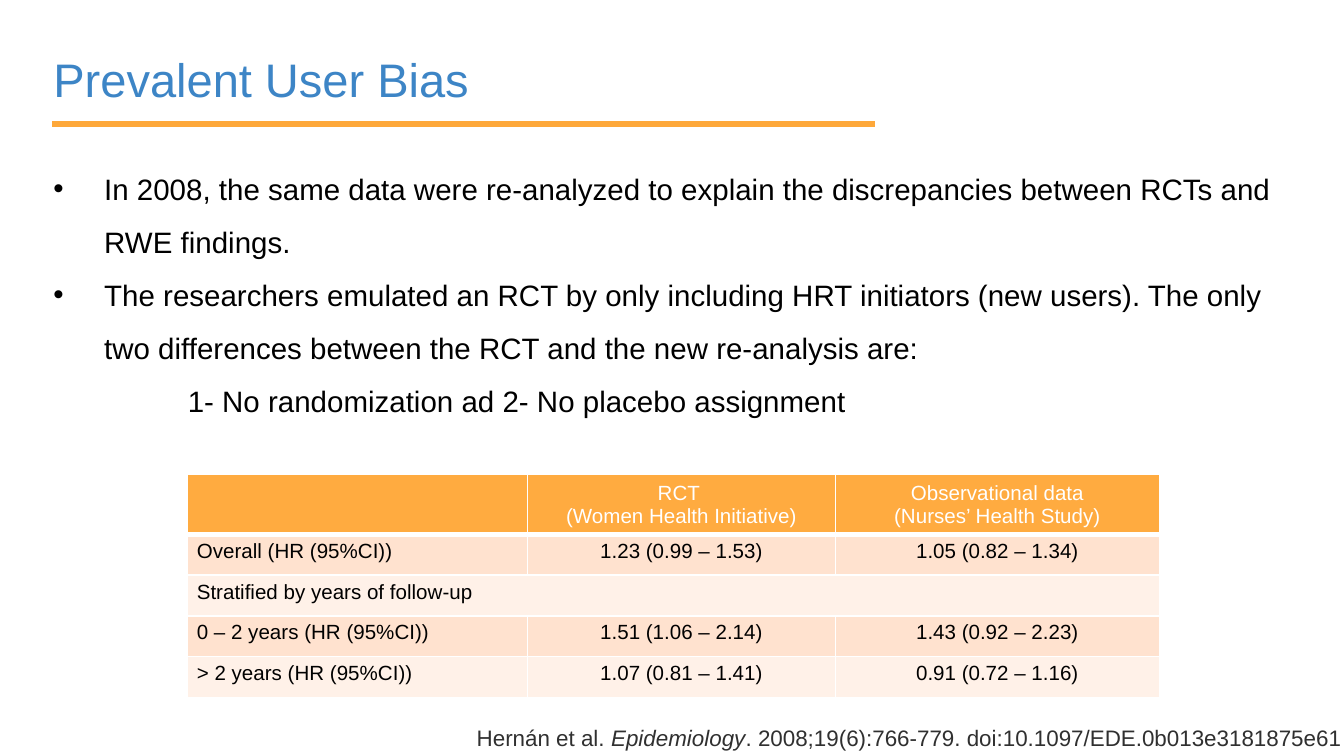
from dataclasses import dataclass
from lxml import etree
from pptx import Presentation
from pptx.dml.color import RGBColor
from pptx.enum import shapes, text
from pptx.oxml import ns
from pptx.util import Cm, Pt


@dataclass(frozen=True)
class Theme:
    font: str = "Arial"
    title: str = "3D85C6"
    rule: str = "FEA83A"
    header: str = "FFAB40"
    bands: tuple = ("FFE2CF", "FFF1E8")
    white: str = "FFFFFF"
    ink: str = "000000"
    citation: str = "303030"
    title_size: float = 25.2
    body_size: float = 15.8
    table_size: float = 11
    citation_size: float = 12


THEME = Theme()
POINTS = [
    "In 2008, the same data were re-analyzed to explain the discrepancies "
    "between RCTs and RWE findings. ",
    "The researchers emulated an RCT by only including HRT initiators (new users). "
    "The only two differences between the RCT and the new re-analysis are:",
]
DIFFERENCES = "1- No randomization ad 2- No placebo assignment"
RESULTS = [
    ["", "RCT \n(Women Health Initiative)", "Observational data\n(Nurses’ Health Study)"],
    ["Overall (HR (95%CI))", "1.23 (0.99 – 1.53)", "1.05 (0.82 – 1.34)"],
    ["Stratified by years of follow-up", "", ""],
    ["0 – 2 years (HR (95%CI))", "1.51 (1.06 – 2.14)", "1.43 (0.92 – 2.23)"],
    ["> 2 years (HR (95%CI))", "1.07 (0.81 – 1.41)", "0.91 (0.72 – 1.16)"],
]


def color(value):
    return RGBColor.from_string(value)


def sub(parent, tag, **attributes):
    return etree.SubElement(parent, ns.qn(tag), attributes)


def style(paragraph, size, ink):
    for run in paragraph.runs:
        run.font.name = THEME.font
        run.font.size = Pt(size)
        run.font.color.rgb = color(ink)


def text_frame(slide, box, inset=0.25, wrap=True):
    frame = slide.shapes.add_textbox(*map(Cm, box)).text_frame
    frame.word_wrap = wrap
    frame.margin_left = frame.margin_right = Cm(0.25)
    frame.margin_top = frame.margin_bottom = Cm(inset)
    return frame


def add_heading(slide, box):
    left, top, width, height = box
    heading = text_frame(slide, box)
    heading.text = "Prevalent User Bias"
    style(heading.paragraphs[0], THEME.title_size, THEME.title)
    # Rule under the title
    start, level = left + 0.23, top + height + 0.18
    rule = slide.shapes.add_connector(
        shapes.MSO_CONNECTOR.STRAIGHT, Cm(start), Cm(level), Cm(start + 15.55), Cm(level))
    rule.line.color.rgb = color(THEME.rule)
    rule.line.width = Pt(3)
    sub(rule._element.spPr, "a:effectLst")


def add_points(slide, box):
    body = text_frame(slide, box, inset=0.13)
    body.text = "\n".join(POINTS + [DIFFERENCES])
    for paragraph in body.paragraphs:
        paragraph.line_spacing = 1.5
        style(paragraph, THEME.body_size, THEME.ink)
    *bulleted, differences = body.paragraphs
    for point in bulleted:
        props = point._p.get_or_add_pPr()
        props.set("marL", str(Cm(0.96)))
        props.set("indent", str(-Cm(0.96)))
        sub(sub(props, "a:buClr"), "a:srgbClr", val=THEME.ink)
        sub(props, "a:buFont", typeface=THEME.font)
        sub(props, "a:buChar", char="•")
    differences.level = 1
    props = differences._p.get_or_add_pPr()
    props.set("marL", str(Cm(2.54)))
    props.set("indent", "0")


def add_borders(cell, bottom):
    props = cell._tc.get_or_add_tcPr()
    for index, (side, width) in enumerate(zip("LRTB", (1, 1, 1, bottom))):
        edge = etree.Element(ns.qn(f"a:ln{side}"), w=str(Pt(width)))
        sub(sub(edge, "a:solidFill"), "a:srgbClr", val=THEME.white)
        props.insert(index, edge)


def fill_cell(cell, words, row, column):
    header = row == 0
    cell.margin_left = cell.margin_right = Cm(0.18)
    cell.margin_top = cell.margin_bottom = Cm(0.1)
    cell.vertical_anchor = text.MSO_ANCHOR.MIDDLE if header else text.MSO_ANCHOR.TOP
    cell.fill.solid()
    cell.fill.fore_color.rgb = color(THEME.header if header else THEME.bands[(row - 1) % 2])
    add_borders(cell, 3 if header else 1)
    cell.text_frame.text = words
    for paragraph in cell.text_frame.paragraphs:
        paragraph.alignment = text.PP_ALIGN.CENTER if column else text.PP_ALIGN.LEFT
        style(paragraph, THEME.table_size, THEME.white if header else THEME.ink)
        if not words:
            sub(paragraph._p, "a:endParaRPr", sz=str(THEME.table_size * 100))


def add_results(slide, box):
    table = slide.shapes.add_table(len(RESULTS), len(RESULTS[0]), *map(Cm, box)).table
    for column, width in zip(table.columns, (6.43, 5.82, 6.12)):
        column.width = Cm(width)
    for index, row in enumerate(table.rows):
        row.height = Cm(0.77 if index else 1.07)
    for r, row in enumerate(RESULTS):
        for c, words in enumerate(row):
            fill_cell(table.cell(r, c), words, r, c)
    # Subheading across all columns
    table.cell(2, 0).merge(table.cell(2, 2))


def add_citation(slide, box):
    citation = text_frame(slide, box, inset=0.13).paragraphs[0]
    parts = ("Hernán et al.\u00a0", "Epidemiology",
             ". 2008;19(6):766-779. doi:10.1097/EDE.0b013e3181875e61")
    for part in parts:
        run = citation.add_run()
        run.text = part
        run.font.italic = part == "Epidemiology"
    style(citation, THEME.citation_size, THEME.citation)


deck = Presentation()
deck.slide_width, deck.slide_height = Cm(25.4), Cm(14.29)
bias_slide = deck.slides.add_slide(deck.slide_layouts[6])
add_heading(bias_slide, (0.76, 0.71, 21.89, 1.45))
add_points(bias_slide, (0.76, 2.77, 24.03, 5.18))
add_results(bias_slide, (3.54, 8.97, 18.34, 4.15))
add_citation(bias_slide, (8.76, 13.56, 18.34, 0.77))
deck.save("out.pptx")
